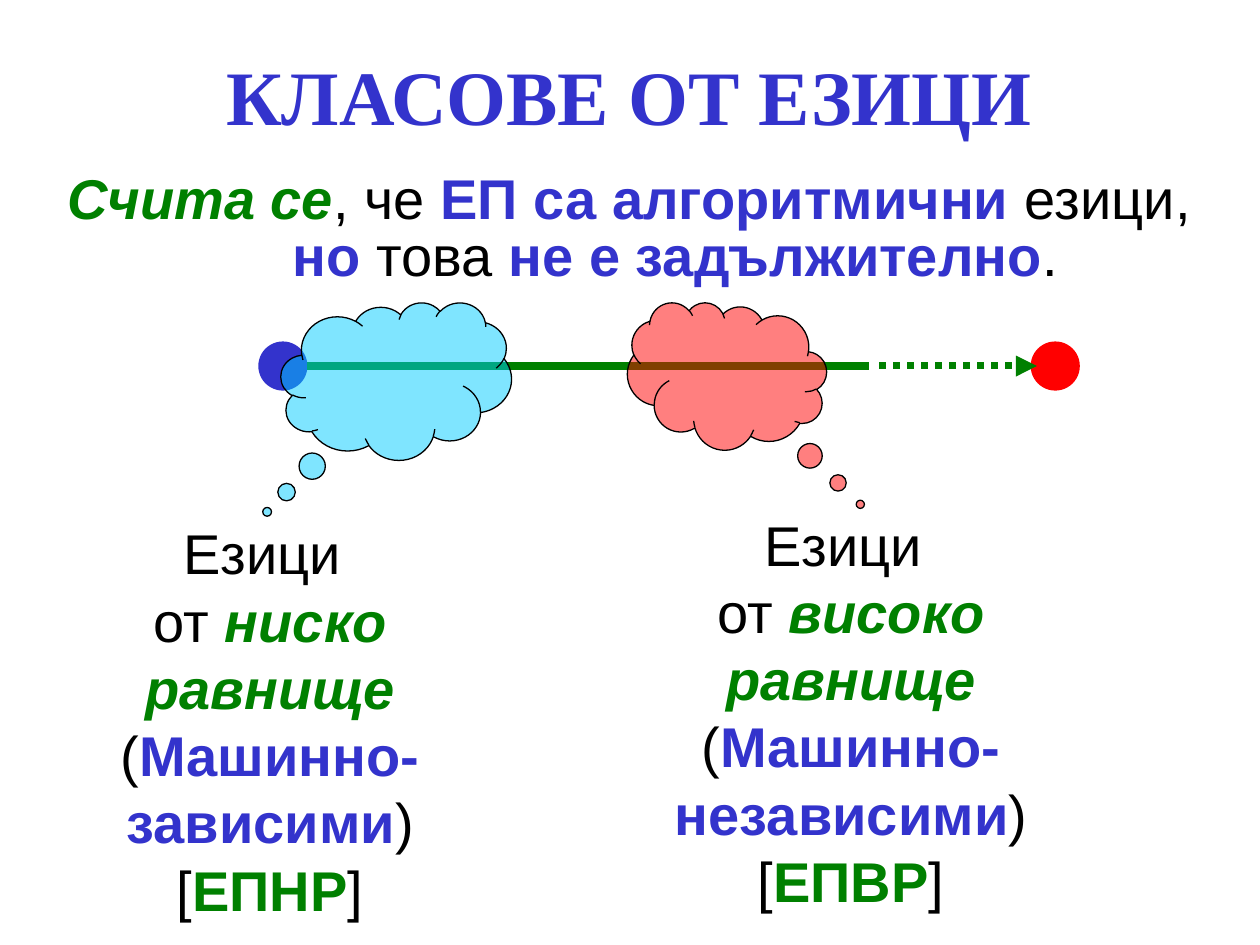
import pptx
import pptx.util
import pptx.dml.color
import pptx.enum.dml
import pptx.enum.shapes
import pptx.enum.text
import pptx.oxml.ns
from lxml import etree

Inches, Pt = pptx.util.Inches, pptx.util.Pt
RGBColor = pptx.dml.color.RGBColor
SHAPE = pptx.enum.shapes.MSO_SHAPE
qn = pptx.oxml.ns.qn

BLACK = RGBColor(0x00, 0x00, 0x00)
BLUE = RGBColor(0x33, 0x33, 0xCC)
GREEN = RGBColor(0x00, 0x80, 0x00)
RED = RGBColor(0xFF, 0x00, 0x00)
SKY = RGBColor(0x00, 0xCC, 0xFF)

# Run styles: colour, bold, italic
PLAIN = (BLACK, False, False)
TERM = (BLUE, True, False)
SHORT = (GREEN, True, False)
STRESS = (GREEN, True, True)


def add_text(slide, box, runs, size=32, font="Arial"):
    """Place one centred paragraph of styled runs; None is a line break."""
    frame = slide.shapes.add_textbox(*map(Inches, box)).text_frame
    frame.word_wrap = True
    paragraph = frame.paragraphs[0]
    paragraph.alignment = pptx.enum.text.PP_ALIGN.CENTER
    paragraph.font.size = Pt(size)
    paragraph.font.name = font
    for part in runs:
        if part is None:
            paragraph.add_line_break()
            continue
        wording, (colour, bold, italic) = part
        run = paragraph.add_run()
        run.text = wording
        run.font.size = Pt(size)
        run.font.name = font
        run.font.color.rgb = colour
        run.font.bold = bold
        run.font.italic = italic
    return frame


def add_title(slide, box):
    frame = add_text(slide, box, [("КЛАСОВЕ ОТ ЕЗИЦИ", TERM)], 44, "Times New Roman")
    frame.vertical_anchor = pptx.enum.text.MSO_ANCHOR.MIDDLE


def add_statement(slide, box):
    frame = add_text(slide, box, [
        ("Счита се", STRESS), (", че ", PLAIN), ("ЕП са алгоритмични ", TERM),
        ("езици, ", PLAIN), ("но ", TERM), ("това ", PLAIN),
        ("не е задължително", TERM), (".", PLAIN)])
    paragraph = frame.paragraphs[0]
    paragraph.line_spacing = 0.85
    properties = paragraph._p.get_or_add_pPr()
    properties.set("marL", str(Inches(0.73)))
    properties.set("indent", str(Inches(-0.73)))


def add_scale(slide, box):
    """Line from the low-level dot to the high-level dot, filling the box."""
    left, top, width, dot = box
    middle = top + dot / 2
    group = slide.shapes.add_group_shape()

    # End dots
    for dot_left, colour in ((left, BLUE), (left + width - dot, RED)):
        end = group.shapes.add_shape(
            SHAPE.OVAL, *map(Inches, (dot_left, top, dot, dot)))
        end.shadow.inherit = False
        end.fill.solid()
        end.fill.fore_color.rgb = colour
        end.line.fill.background()

    # Solid stretch, then dotted stretch with an arrowhead
    def add_stretch(start, stop, weight):
        stretch = group.shapes.add_connector(
            pptx.enum.shapes.MSO_CONNECTOR.STRAIGHT,
            *map(Inches, (left + start, middle, left + stop, middle)))
        stretch.line.color.rgb = GREEN
        stretch.line.width = Pt(weight)
        etree.SubElement(stretch._element.spPr, qn("a:effectLst"))
        return stretch

    add_stretch(dot, 4.85, 4.5)
    dotted = add_stretch(4.93, 6.18, 4)
    dotted.line.dash_style = pptx.enum.dml.MSO_LINE.ROUND_DOT
    etree.SubElement(dotted.line._get_or_add_ln(), qn("a:tailEnd"), type="triangle")


def add_cloud(slide, box, colour, tail, mirrored=False):
    cloud = slide.shapes.add_shape(SHAPE.CLOUD_CALLOUT, *map(Inches, box))
    cloud.shadow.inherit = False
    for index, offset in enumerate(tail):
        cloud.adjustments[index] = offset
    cloud.fill.solid()
    cloud.fill.fore_color.rgb = colour
    shade = cloud._element.spPr.find(".//" + qn("a:srgbClr"))
    etree.SubElement(shade, qn("a:alpha"), val="50000")
    cloud.line.color.rgb = BLACK
    cloud.line.width = Pt(0.75)
    if mirrored:
        cloud._element.spPr.find(qn("a:xfrm")).set("flipH", "1")


def add_class_label(slide, box, level, kind, abbreviation):
    add_text(slide, box, [
        ("Езици ", PLAIN), None, ("от ", PLAIN), (level + " равнище", STRESS),
        (" (", PLAIN), (kind, TERM), (") [", PLAIN),
        (abbreviation, SHORT), ("]", PLAIN)])


def main():
    deck = pptx.Presentation()
    deck.slide_width, deck.slide_height = Inches(10), Inches(7.5)
    slide = deck.slides.add_slide(deck.slide_layouts[6])

    add_title(slide, (0.43, 0.33, 9.13, 0.84))
    add_statement(slide, (0.43, 1.33, 9.13, 1.17))
    add_scale(slide, (2.05, 2.71, 6.52, 0.39))

    # Low-level languages
    add_cloud(slide, (2.23, 2.4, 1.83, 1.25), SKY, (-0.56, 0.83))
    add_class_label(slide, (0.73, 4.07, 2.83, 3.3),
                    "ниско", "Машинно-зависими", "ЕПНР")

    # High-level languages
    add_cloud(slide, (4.98, 2.4, 1.58, 1.17), RED, (-0.67, 0.87), mirrored=True)
    add_class_label(slide, (5.17, 4, 3.17, 3.3),
                    "високо", "Машинно-независими", "ЕПВР")

    deck.save("out.pptx")


if __name__ == "__main__":
    main()
